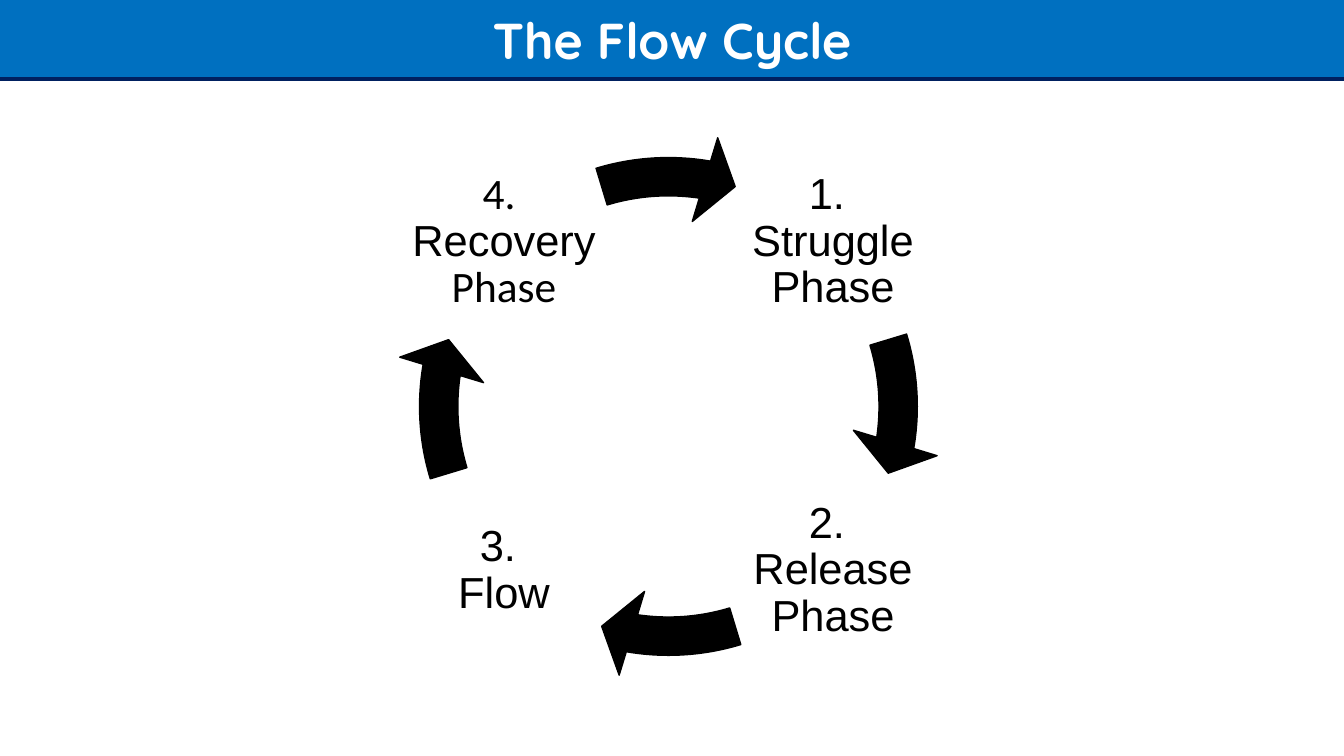
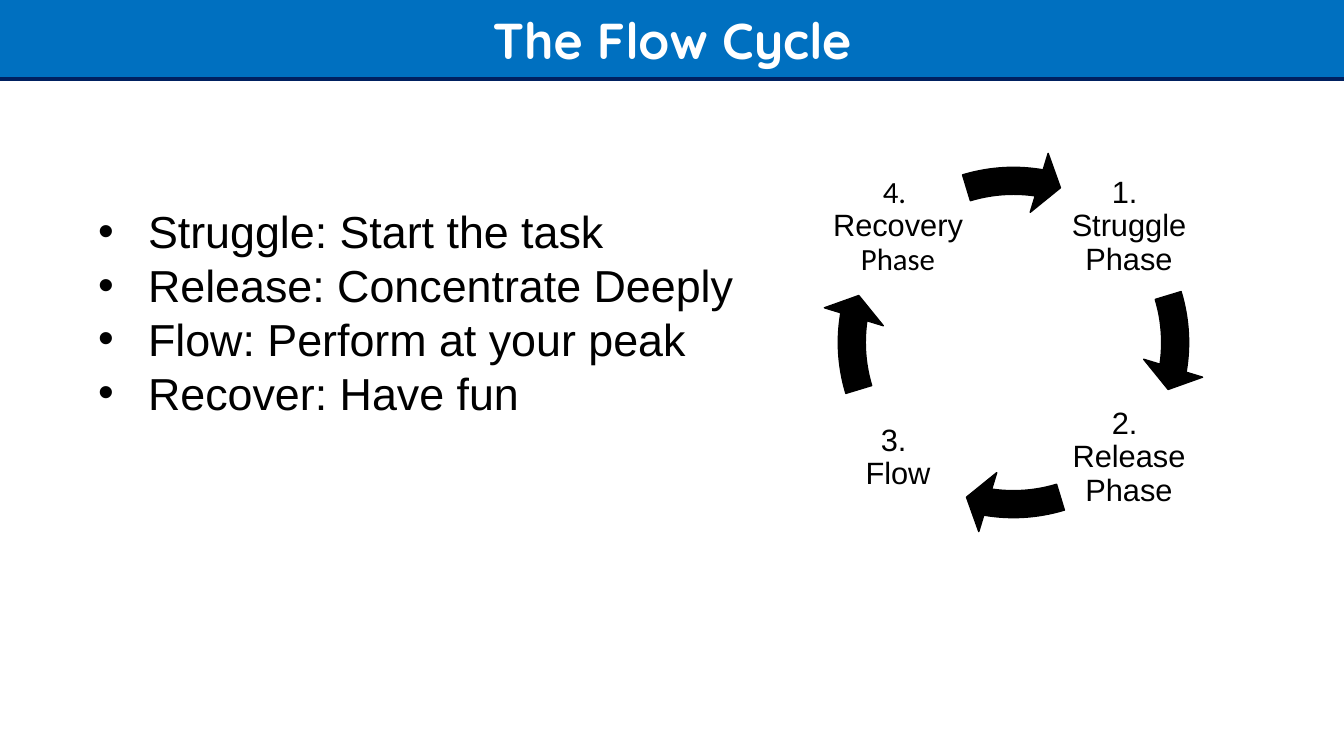
from lxml import etree
from pptx import Presentation
from pptx.dml.color import RGBColor
from pptx.enum.shapes import MSO_CONNECTOR, MSO_SHAPE
from pptx.enum.text import MSO_ANCHOR, MSO_AUTO_SIZE, PP_ALIGN
from pptx.oxml.ns import qn
from pptx.util import Pt

RECTANGLE, CIRCULAR_ARROW = MSO_SHAPE.RECTANGLE, MSO_SHAPE.CIRCULAR_ARROW
STRAIGHT = MSO_CONNECTOR.STRAIGHT
TOP, MIDDLE = MSO_ANCHOR.TOP, MSO_ANCHOR.MIDDLE
LEFT, CENTER = PP_ALIGN.LEFT, PP_ALIGN.CENTER
NO_AUTOFIT = MSO_AUTO_SIZE.NONE

EMU_PER_PIXEL = 914400 / 100.8
SLIDE_WIDTH, SLIDE_HEIGHT, BAND_HEIGHT = 1344, 756, 79
BLUE, NAVY, WHITE, BLACK = "0070C0", "002060", "FFFFFF", "000000"
TITLE_FONT, BODY_FONT, ALTERNATE_FONT = "Quicksand", "Arial", "Calibri"
TITLE_ONLY_LAYOUT = 5
FULL_TURN, QUARTER_TURN = 216, 54

PHASES = [
    ([("1. ", BODY_FONT)], [("Struggle Phase", BODY_FONT)]),
    ([("2. ", BODY_FONT)], [("Release Phase", BODY_FONT)]),
    ([("3. ", BODY_FONT)], [("Flow", BODY_FONT)]),
    ([("4. ", ALTERNATE_FONT)], [("Recovery ", BODY_FONT), ("Phase", ALTERNATE_FONT)]),
]
CORNERS = [(1, 0), (1, 1), (0, 1), (0, 0)]
PHASE_NOTES = [
    "Struggle: Start the task",
    "Release: Concentrate Deeply",
    "Flow: Perform at your peak",
    "Recover: Have fun",
]


def px(*lengths):
    """Turn pixel lengths into a list of EMU lengths."""
    return [round(length * EMU_PER_PIXEL) for length in lengths]


def color(hex_code):
    """Return the colour for a hex string."""
    return RGBColor.from_string(hex_code)


def add_run(paragraph, text, font, size, hex_code=BLACK, bold=False):
    """Add one formatted run."""
    run = paragraph.add_run()
    run.text = text
    run.font.name = font
    run.font.size = Pt(size)
    run.font.bold = bold
    run.font.color.rgb = color(hex_code)


def format_frame(frame, inset_x, inset_y, anchor=TOP, wrap=True):
    """Set the insets, anchor and wrapping of a text frame."""
    frame.auto_size = NO_AUTOFIT
    frame.word_wrap = wrap
    frame.vertical_anchor = anchor
    frame.margin_left, frame.margin_top = px(inset_x, inset_y)
    frame.margin_right, frame.margin_bottom = px(inset_x, inset_y)


def add_filled_shape(slide, kind, box, hex_code):
    """Add a flat preset shape without an outline."""
    shape = slide.shapes.add_shape(kind, *px(*box))
    shape.shadow.inherit = False
    shape.fill.solid()
    shape.fill.fore_color.rgb = color(hex_code)
    shape.line.fill.background()
    return shape


def add_rule(slide, y, hex_code, width):
    """Add a horizontal line across the slide."""
    connector = slide.shapes.add_connector(STRAIGHT, *px(0, y, SLIDE_WIDTH, y))
    connector.line.color.rgb = color(hex_code)
    connector.line.width = Pt(width)
    etree.SubElement(connector.element.spPr, qn("a:effectLst"))


def add_titled_slide(presentation, text):
    """Add a slide with the title on a ruled band."""
    slide = presentation.slides.add_slide(presentation.slide_layouts[TITLE_ONLY_LAYOUT])
    add_filled_shape(slide, RECTANGLE, (0, 0, SLIDE_WIDTH, BAND_HEIGHT), BLUE)
    title = slide.shapes.title
    title.left, title.top, title.width, title.height = px(477, 4, 390, 72)
    format_frame(title.text_frame, 10, 5, wrap=False)
    paragraph = title.text_frame.paragraphs[0]
    paragraph.alignment = CENTER
    add_run(paragraph, text, TITLE_FONT, 36, WHITE, bold=True)
    slide.shapes.element.append(title.element)
    add_rule(slide, BAND_HEIGHT, NAVY, 2.25)
    return slide


def add_bullets(slide, box, items, size):
    """Add a bulleted list."""
    frame = slide.shapes.add_textbox(*px(*box)).text_frame
    format_frame(frame, 13, 7)
    indent = px(50)[0]
    for index, item in enumerate(items):
        paragraph = frame.add_paragraph() if index else frame.paragraphs[0]
        paragraph.alignment = LEFT
        properties = paragraph._p.get_or_add_pPr()
        properties.set("marL", str(indent))
        properties.set("indent", str(-indent))
        etree.SubElement(properties, qn("a:buFont"), typeface=BODY_FONT)
        etree.SubElement(properties, qn("a:buChar"), char="\u2022")
        add_run(paragraph, item, BODY_FONT, size)


def add_phase_label(slide, box, lines, size):
    """Add a centred phase label with its number on the first line."""
    frame = slide.shapes.add_textbox(*px(*box)).text_frame
    format_frame(frame, 2, 2, MIDDLE)
    paragraph = frame.paragraphs[0]
    paragraph.alignment = CENTER
    paragraph.line_spacing = 0.9
    for index, line in enumerate(lines):
        if index:
            paragraph.add_line_break()
        for text, font in line:
            add_run(paragraph, text, font, size)


def add_cycle_arrow(slide, box, step):
    """Add the curved arrow that leaves the phase at this step."""
    arrow = add_filled_shape(slide, CIRCULAR_ARROW, box, BLACK)
    arrow.line.color.rgb = color(BLACK)
    arrow.line.width = Pt(1)
    turn = step * QUARTER_TURN
    values = (0.07, 4.65, 5.49 + turn, (205.86 + turn) % FULL_TURN, 0.08)
    for index, value in enumerate(values):
        arrow.adjustments[index] = value


def add_cycle(slide, left, top, diameter, label_size, font_size):
    """Add the four phases and the arrows between them."""
    margin = round(diameter * 0.0225)
    pitch = diameter - 2 * margin - label_size
    for step, (lines, (column, row)) in enumerate(zip(PHASES, CORNERS)):
        label_left = left + margin + column * pitch
        label_top = top + margin + row * pitch
        add_phase_label(slide, (label_left, label_top, label_size, label_size), lines, font_size)
        add_cycle_arrow(slide, (left, top, diameter, diameter), step)


def main():
    """Build and save the presentation."""
    presentation = Presentation()
    presentation.slide_width, presentation.slide_height = px(SLIDE_WIDTH, SLIDE_HEIGHT)

    overview = add_titled_slide(presentation, "The Flow Cycle")
    add_cycle(overview, 395, 133, 547, 194, 31)

    details = add_titled_slide(presentation, "The Flow Cycle")
    add_bullets(details, (85, 197, 1159, 231), PHASE_NOTES, 32)
    add_cycle(details, 821, 150, 385, 136, 22)

    presentation.save("out.pptx")


main()
